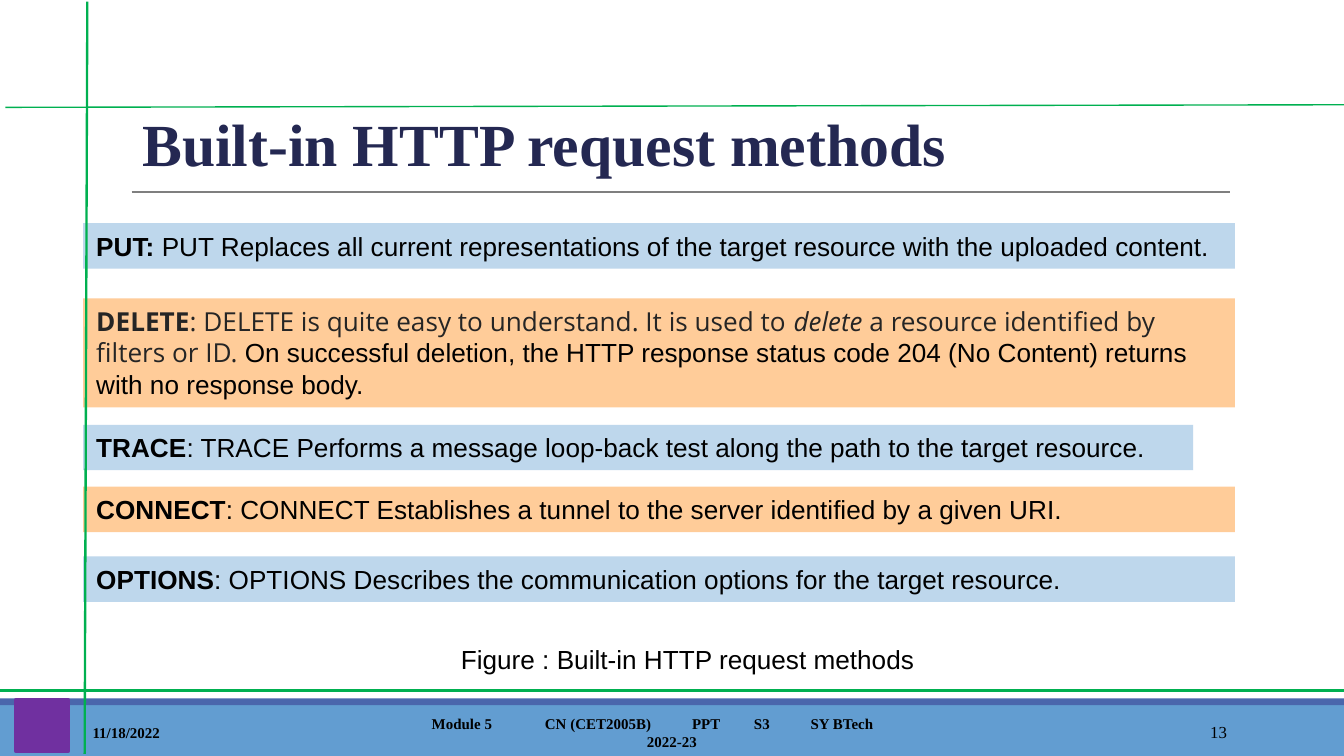
from lxml.etree import SubElement
from pptx import Presentation
from pptx.dml.color import RGBColor as Rgb
from pptx.enum.shapes import MSO_CONNECTOR as Connector, MSO_SHAPE as Shape
from pptx.enum.text import MSO_ANCHOR as Anchor, MSO_AUTO_SIZE as AutoSize, PP_ALIGN as Align
from pptx.oxml.ns import qn
from pptx.util import Cm, Pt

SKY = Rgb(0x62, 0x9D, 0xD1)
ROYAL = Rgb(0x4A, 0x66, 0xAC)
NAVY = Rgb(0x24, 0x28, 0x52)
GREY = Rgb(0x7F, 0x7F, 0x7F)
GREEN = Rgb(0x00, 0xB0, 0x50)
PURPLE = Rgb(0x70, 0x30, 0xA0)
PEACH = Rgb(0xFF, 0xCC, 0x99)
PALE_BLUE = Rgb(0xBE, 0xD7, 0xEC)
BLACK = Rgb(0, 0, 0)
CHARCOAL = Rgb(0x25, 0x25, 0x25)

SERIF, SANS, OPEN = "Times New Roman", "Arial", "Open Sans"
PLAIN = (SANS, BLACK, False, False)
BOLD = (SANS, BLACK, True, False)
OPEN_PLAIN = (OPEN, CHARCOAL, False, False)
OPEN_BOLD = (OPEN, CHARCOAL, True, False)
OPEN_ITALIC = (OPEN, CHARCOAL, False, True)

BAND_LEFT, BAND_WIDTH, BAND_HEIGHT = 1.57, 21.77, 0.86
METHODS = [
    (4.22, BAND_WIDTH, BAND_HEIGHT, PALE_BLUE, [
        ("PUT: ", BOLD),
        ("PUT Replaces all current representations of the target resource "
         "with the uploaded content.", PLAIN)]),
    (5.64, BAND_WIDTH, 2.06, PEACH, [
        ("DELETE", OPEN_BOLD),
        (": DELETE is quite easy to understand. It is used to ", OPEN_PLAIN),
        ("delete", OPEN_ITALIC),
        (" a resource identified by filters or ID. ", OPEN_PLAIN),
        ("On successful deletion, the HTTP response status code 204 (No Content) "
         "returns with no response body.", PLAIN)]),
    (8.03, 20.98, BAND_HEIGHT, PALE_BLUE, [
        ("TRACE", BOLD),
        (": TRACE Performs a message loop-back test along the path to the "
         "target resource.", PLAIN)]),
    (9.2, BAND_WIDTH, BAND_HEIGHT, PEACH, [
        ("CONNECT", BOLD),
        (": CONNECT Establishes a tunnel to the server identified by a given URI.", PLAIN)]),
    (10.52, BAND_WIDTH, BAND_HEIGHT, PALE_BLUE, [
        ("OPTIONS", BOLD),
        (": OPTIONS Describes the communication options for the target resource.", PLAIN)]),
]
COURSE_TABS = (2.14, 4.92, 6.09, 7.16)


def style_font(font, name, size, color, bold=False, italic=False):
    """Set the typeface, size, colour and weight of a font."""
    font.name, font.size, font.bold, font.italic = name, Pt(size), bold, italic
    font.color.rgb = color


def frame_text(frame, side, edge, anchor):
    """Make a frame wrap, with the given insets in centimetres and anchor."""
    frame.word_wrap = True
    frame.margin_left = frame.margin_right = Cm(side)
    frame.margin_top = frame.margin_bottom = Cm(edge)
    frame.vertical_anchor = anchor


def add_block(slide, box, color):
    """Add a flat rectangle without outline or shadow."""
    block = slide.shapes.add_shape(Shape.RECTANGLE, *map(Cm, box))
    block.shadow.inherit = False
    block.fill.solid()
    block.fill.fore_color.rgb = color
    block.line.fill.background()
    return block


def add_rule(slide, ends, color, weight):
    """Add a straight line without shadow."""
    rule = slide.shapes.add_connector(Connector.STRAIGHT, *map(Cm, ends))
    rule.line.color.rgb = color
    rule.line.width = Pt(weight)
    SubElement(rule._element.spPr, qn("a:effectLst"))


def add_label(slide, box, lines, align, font, insets=(0.18, 0.1), anchor=Anchor.MIDDLE):
    """Add a text box with one paragraph per line and return its paragraphs."""
    label = slide.shapes.add_textbox(*map(Cm, box)).text_frame
    frame_text(label, *insets, anchor)
    label.text = "\n".join(lines)
    for paragraph in label.paragraphs:
        paragraph.alignment = align
        for run in paragraph.runs:
            style_font(run.font, *font)
    return label.paragraphs


def place_title(slide, box):
    """Place the heading and the thin rule below it."""
    left, top, width, height = box
    title = slide.shapes.title
    title.left, title.top, title.width, title.height = map(Cm, box)
    frame = title.text_frame
    frame.text = "Built-in HTTP request methods"
    frame_text(frame, 0.18, 0.1, Anchor.BOTTOM)
    frame.auto_size = AutoSize.NONE
    heading = frame.paragraphs[0]
    heading.alignment = Align.LEFT
    heading.line_spacing = 0.85
    style_font(heading.runs[0].font, SERIF, 32, NAVY, True)
    rule_y = top + height + 0.15
    add_rule(slide, (left - 0.02, rule_y, left + 20.73, rule_y), GREY, 0.75)


def place_method(slide, box, color, parts):
    """Place one coloured band that describes a request method."""
    band = add_block(slide, box, color)
    frame = band.text_frame
    frame_text(frame, 0.25, 0.13, Anchor.TOP)
    frame.auto_size = AutoSize.SHAPE_TO_FIT_TEXT
    description = frame.paragraphs[0]
    description.alignment = Align.LEFT
    for text, (name, ink, bold, italic) in parts:
        run = description.add_run()
        run.text = text
        style_font(run.font, name, 14, ink, bold, italic)


def place_footer_bars(slide, box):
    """Place the wide footer bar with its darker top edge."""
    left, top, width, height = box
    edge = 0.13
    add_block(slide, (left, top + edge, width, height - edge), SKY)
    add_block(slide, (left, top, width, edge), ROYAL)


def place_footer_text(slide, box):
    """Place the date, course line and page number in the footer."""
    left, top, width, height = box
    add_label(slide, (left, top, 5.72, height), ["11/18/2022"], Align.LEFT,
              (SERIF, 8, BLACK, True))
    course_line, year = add_label(
        slide, (left + 6.1, top, 10.06, height),
        ["\t".join(("Module 5", "CN (CET2005B)", "PPT", "S3", "SY BTech")), "2022-23"],
        Align.CENTER, (SERIF, 8, BLACK, True), insets=(0.49, 0.1))
    course_line.alignment = Align.LEFT
    tabs = SubElement(course_line._p.get_or_add_pPr(), qn("a:tabLst"))
    for position in COURSE_TABS:
        SubElement(tabs, qn("a:tab"), pos=str(Cm(position)), algn="l")
    add_label(slide, (left + width - 2.74, top, 2.74, height), ["13"], Align.RIGHT,
              (SERIF, 9, BLACK))


def place_frame_lines(slide, box):
    """Place the green guide lines and the purple corner square."""
    left, top, width, height = box
    add_rule(slide, (left + 0.1, top + 2.03, left + width, top + 1.98), GREEN, 0.75)
    square = add_block(slide, (left + 0.3, top + 13.23, 0.99, 0.97), PURPLE)
    square.line.color.rgb = PURPLE
    square.line.width = Pt(2)
    add_rule(slide, (left + 1.65, top + 0.03, left + 1.6, top + 14.25), GREEN, 1.25)
    add_rule(slide, (left, top + 13.05, left + width, top + 13.05), GREEN, 1.25)


def main():
    """Build the slide and save it."""
    deck = Presentation()
    deck.slide_width, deck.slide_height = Cm(25.4), Cm(14.29)
    slide = deck.slides.add_slide(deck.slide_layouts[5])
    place_footer_bars(slide, (0, 13.2, 25.4, 1.09))
    place_title(slide, (2.51, 2.18, 21.34, 1.3))
    place_footer_text(slide, (1.57, 13.46, 21.8, 0.76))
    add_label(slide, (2.13, 11.91, 21.74, 1.12), ["Figure : Built-in HTTP request methods"],
              Align.CENTER, (SANS, 14, BLACK), insets=(0.25, 0.25), anchor=Anchor.TOP)
    for top, width, height, color, parts in METHODS:
        place_method(slide, (BAND_LEFT, top, width, height), color, parts)
    place_frame_lines(slide, (0, 0, 25.4, 14.29))
    deck.save("out.pptx")


if __name__ == "__main__":
    main()
